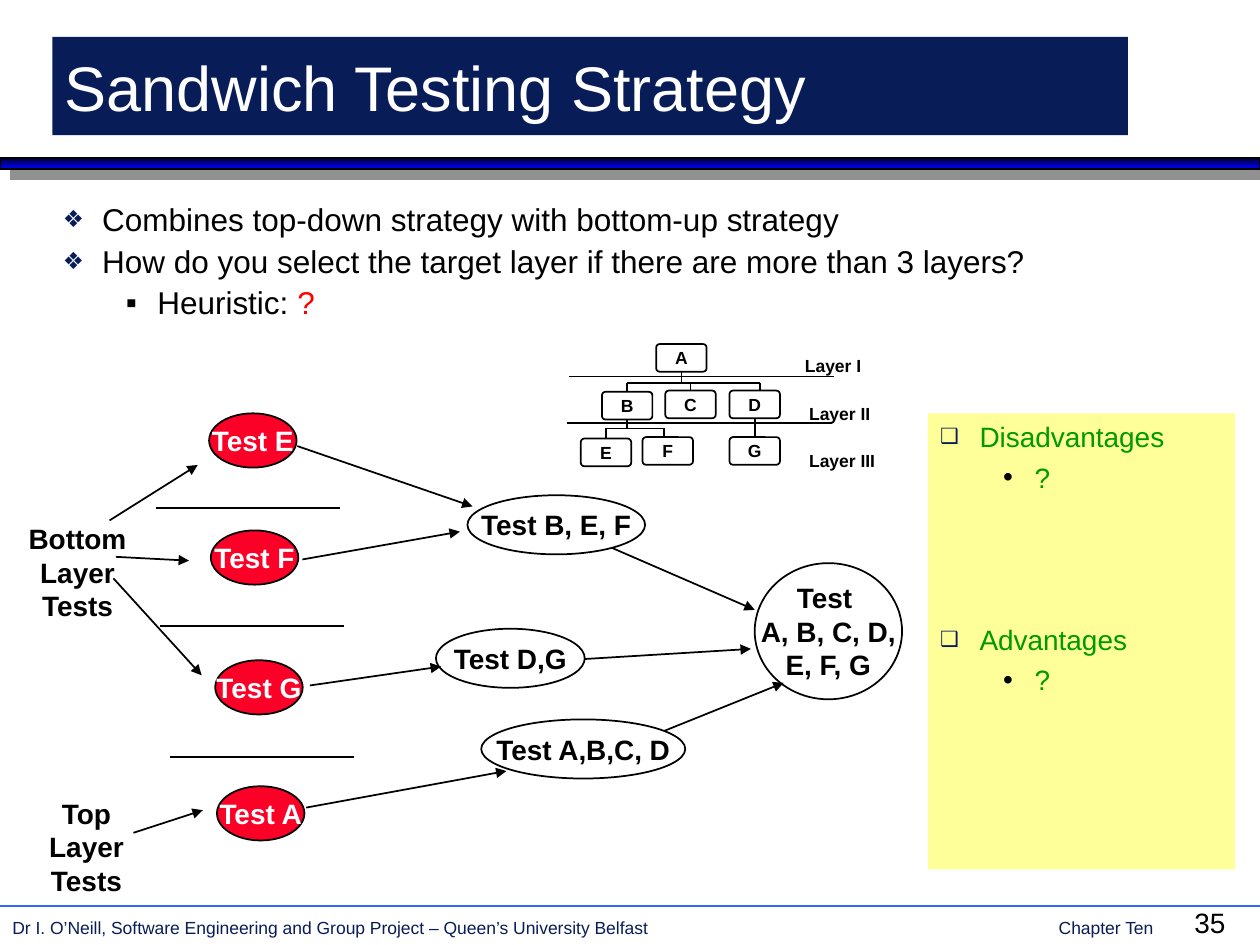
from dataclasses import dataclass
from typing import Optional

from lxml import etree
from pptx import Presentation
from pptx import util as u
from pptx.dml.color import RGBColor
from pptx.enum import shapes, text
from pptx.oxml import ns

NAVY = RGBColor(0x08, 0x1D, 0x58)
BLUE = RGBColor(0x33, 0x66, 0xFF)
DARK = RGBColor(0x00, 0x00, 0x36)
BRIGHT = RGBColor(0x00, 0x00, 0xFF)
GRAY = RGBColor(0x91, 0x91, 0x91)
RED = RGBColor(0xFF, 0x00, 0x00)
CRIMSON = RGBColor(0xFC, 0x01, 0x28)
GREEN = RGBColor(0x00, 0x99, 0x00)
YELLOW = RGBColor(0xFF, 0xFF, 0x99)
BLACK = RGBColor(0, 0, 0)
WHITE = RGBColor(0xFF, 0xFF, 0xFF)
KIND = shapes.MSO_SHAPE
LEFT, MID = text.PP_ALIGN.LEFT, text.PP_ALIGN.CENTER
BOX_W, BOX_H = 28.8, 15.8


@dataclass
class Node:
    left: float
    top: float
    wide: float
    high: float
    lines: tuple = ()
    fill: Optional[RGBColor] = None
    ink: RGBColor = BLACK
    edge: Optional[RGBColor] = BLACK
    size: float = 16
    bold: bool = True
    align: text.PP_ALIGN = MID


@dataclass
class Point:
    runs: tuple
    sign: str
    level: int = 0
    gap: float = 4
    space: float = 1.0


def add_run(para, words: str, size: float, ink: RGBColor, bold: bool = False) -> None:
    run = para.add_run()
    run.text = words
    font = run.font
    font.name, font.size, font.bold = "Arial", u.Pt(size), bold
    font.color.rgb = ink


def next_para(frame, index: int):
    return frame.add_paragraph() if index else frame.paragraphs[0]


def add_child(parent, tag: str, **attrs: str):
    return etree.SubElement(parent, ns.qn(tag), attrs)


def write(frame, node: Node) -> None:
    frame.word_wrap = False
    for i, line in enumerate(node.lines):
        para = next_para(frame, i)
        para.alignment = node.align
        add_run(para, line, node.size, node.ink, node.bold)


def draw_node(slide, kind: shapes.MSO_SHAPE, node: Node):
    shape = slide.shapes.add_shape(kind, *map(u.Pt, (node.left, node.top, node.wide, node.high)))
    shape.shadow.inherit = False
    if node.fill is None:
        shape.fill.background()
    else:
        shape.fill.solid()
        shape.fill.fore_color.rgb = node.fill
    if node.edge is None:
        shape.line.fill.background()
    else:
        shape.line.color.rgb = node.edge
        shape.line.width = u.Pt(1)
    shape.text_frame.vertical_anchor = text.MSO_ANCHOR.MIDDLE
    write(shape.text_frame, node)
    return shape


def draw_text(slide, node: Node):
    box = slide.shapes.add_textbox(*map(u.Pt, (node.left, node.top, node.wide, node.high)))
    write(box.text_frame, node)
    return box


def draw_line(slide, ends: tuple, ink: RGBColor = BLACK, arrow: bool = False):
    line = slide.shapes.add_connector(shapes.MSO_CONNECTOR.STRAIGHT, *map(u.Pt, ends))
    line.line.color.rgb = ink
    line.line.width = u.Pt(1)
    if arrow:
        add_child(line._element.spPr.find(ns.qn("a:ln")), "a:tailEnd", type="triangle")
    add_child(line._element.spPr, "a:effectLst")
    return line


def draw_stem(slide, box, side: int, level: float) -> None:
    x = (box.left + box.width / 2) / u.Pt(1)
    draw_line(slide, (x, level, x, level)).end_connect(box, side)


def fill_points(frame, points: list[Point], size: float, ink: RGBColor) -> None:
    frame.word_wrap = True
    frame.vertical_anchor = text.MSO_ANCHOR.TOP
    for i, point in enumerate(points):
        para = next_para(frame, i)
        para.level, para.alignment = point.level, LEFT
        para.space_before, para.line_spacing = u.Pt(point.gap), point.space
        props = para._p.get_or_add_pPr()
        inset, hang = ((22.5, 22.5), (54, 18))[point.level]
        props.set("marL", str(u.Pt(inset)))
        props.set("indent", str(-u.Pt(hang)))
        tint = add_child(props, "a:buClr")
        add_child(tint, "a:srgbClr", val=str((NAVY, BLACK)[point.level]))
        add_child(props, "a:buSzPct", val=("75000", "100000")[point.level])
        add_child(props, "a:buFont", typeface="Arial")
        add_child(props, "a:buChar", char=point.sign)
        for words, color in point.runs:
            add_run(para, words, size, color or ink)


def draw_frame(slide) -> None:
    foot = draw_text(slide, Node(0, 520.6, 673, 18.7, (
        "Dr I. O’Neill, Software Engineering and Group Project – Queen’s University Belfast\tChapter Ten",
    ), ink=NAVY, size=10, bold=False, align=LEFT))
    tabs = add_child(foot.text_frame.paragraphs[0]._p.get_or_add_pPr(), "a:tabLst")
    add_child(tabs, "a:tab", pos=str(u.Pt(652)), algn="r")
    bar = draw_node(slide, KIND.RECTANGLE, Node(0, 90.5, 720, 6))
    bar.fill.gradient()
    bar.fill.gradient_angle = 270
    for stop, color in zip(bar.fill.gradient_stops, (DARK, BRIGHT)):
        stop.color.rgb = color
    glow = add_child(bar._element.spPr.find(ns.qn("a:effectLst")), "a:outerShdw",
                     dist=str(u.Pt(8.5)), dir="2700000", algn="ctr", rotWithShape="0")
    add_child(glow, "a:srgbClr", val=str(GRAY))
    draw_line(slide, (0, 517.7, 720, 517.7), BLUE)
    draw_text(slide, Node(675.4, 514, 36, 26, ("35",), bold=False, align=LEFT))
    draw_node(slide, KIND.RECTANGLE, Node(30, 21, 614.6, 56.2, ("Sandwich Testing Strategy",),
                                          NAVY, WHITE, None, 36, False, LEFT))


def draw_lists(slide) -> None:
    body = draw_text(slide, Node(28.8, 113, 663.8, 122.4))
    fill_points(body.text_frame, [
        Point((("Combines top-down strategy with bottom-up strategy", None),), "❖", 0, 4.5, 0.9),
        Point((("How do you select the target layer if there are more than 3 layers?", None),), "❖", 0, 4.5, 0.9),
        Point((("Heuristic: ", None), ("?", RED)), "▪", 1, 4.5, 0.9)], 18, BLACK)
    panel = draw_node(slide, KIND.RECTANGLE, Node(530.2, 236.2, 175.7, 260.6, fill=YELLOW, edge=None))
    fill_points(panel.text_frame, [
        Point((("Disadvantages", None),), "❑"), Point((("?", None),), "•", 1),
        Point((("Advantages", None),), "❑", 0, 73.5), Point((("?", None),), "•", 1)], 16, GREEN)


def draw_tests(slide) -> None:
    for ends in ((363.6, 424.1, 447.8, 390.2), (333.4, 306, 431.3, 348.5), (177.1, 391.7, 252, 380.9),
                 (169.9, 254.9, 270, 289.4), (172.8, 319.7, 262.8, 303.8), (175, 461.5, 289.4, 440.6),
                 (334.1, 376.6, 429.1, 370.8), (62.6, 297.4, 113, 265.7), (66.2, 318.2, 108, 320.4),
                 (64.8, 330.5, 115.2, 385.9), (76.3, 475.9, 115.9, 463)):
        draw_line(slide, ends, arrow=True)
    for x, y in ((88.9, 290.2), (91.4, 357.8), (97.2, 432.7)):
        draw_line(slide, (x, y, x + 105.2, y))
    for name, x, y in (("E", 119.5, 236.2), ("F", 120.5, 303.1), ("G", 123, 377.3), ("A", 124, 449.3)):
        draw_node(slide, KIND.OVAL, Node(x, y, 50, 31, (f"Test {name}",), CRIMSON, WHITE))
    for node in (Node(275, 411.1, 116.6, 33.8, ("Test A,B,C, D",), WHITE),
                 Node(249.1, 359.3, 85, 33.8, ("Test D,G",)),
                 Node(267.1, 283, 101.5, 33.8, ("Test B, E, F",), WHITE),
                 Node(431.3, 321.8, 84.2, 77.8, ("Test ", "A, B, C, D,", "E, F, G"))):
        draw_node(slide, KIND.OVAL, node)
    for node in (Node(1.3, 294.5, 86, 64.8, ("Bottom", "Layer", "Tests")),
                 Node(14.4, 451.4, 70, 64.8, ("Top", "Layer", "Tests"))):
        draw_text(slide, node)


def draw_layers(slide) -> None:
    spots = {"A": (375, 196.6), "B": (344, 223.9), "C": (380.2, 223.2), "D": (416.9, 223.2),
             "G": (416.9, 249.8), "F": (367.2, 249.8), "E": (331.9, 250.6)}
    boxes = {}
    for name, (x, y) in spots.items():
        boxes[name] = draw_node(slide, KIND.ROUNDED_RECTANGLE, Node(x, y, BOX_W, BOX_H, (name,), size=10))
        boxes[name].adjustments[0] = 0.125
    for name, side, level in (("A", 2, 218.9), ("B", 0, 218.9), ("C", 0, 218.9), ("B", 2, 244.8), ("E", 0, 244.8)):
        draw_stem(slide, boxes[name], side, level)
    link = draw_line(slide, (431.3, 239, 431.3, 249.8))
    link.begin_connect(boxes["D"], 2)
    link.end_connect(boxes["G"], 0)
    for ends in ((358.4, 218.9, 434.2, 218.9), (434.2, 218.9, 434.2, 223.2),
                 (346.3, 244.8, 379.4, 244.8), (379.4, 244.8, 379.4, 249.8),
                 (325.4, 215.1, 476.6, 215.1), (324, 241.9, 475.2, 241.9)):
        draw_line(slide, ends)
    for name, x, y in (("I", 452.9, 199.6), ("II", 455.3, 226.6), ("III", 455.3, 253.5)):
        draw_text(slide, Node(x, y, 64, 18.7, (f"Layer {name}",), size=10, align=LEFT))


def main() -> None:
    """Build the sandwich testing slide."""
    deck = Presentation()
    deck.slide_width, deck.slide_height = u.Pt(720), u.Pt(540)
    slide = deck.slides.add_slide(deck.slide_layouts[6])
    for draw in (draw_frame, draw_lists, draw_tests, draw_layers):
        draw(slide)
    deck.save("out.pptx")


if __name__ == "__main__":
    main()
